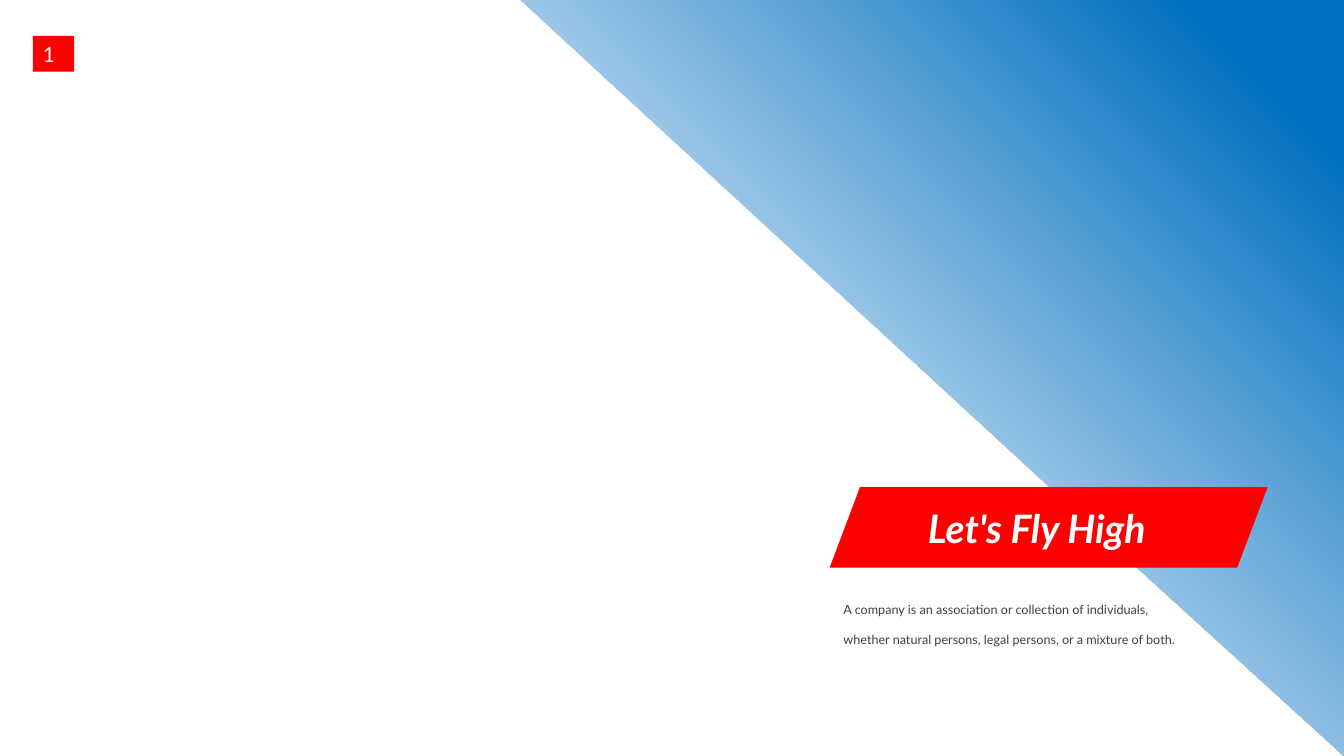
from pptx import Presentation
from pptx.dml.color import RGBColor
from pptx.enum.shapes import MSO_SHAPE as Shape
from pptx.enum.text import MSO_ANCHOR as Anchor, PP_ALIGN as Align
from pptx.util import Pt

WIDTH, HEIGHT = 960, 540


def color(hex_value):
    return RGBColor.from_string(hex_value)


class SlideBuilder:
    FONT = "Lato"
    RED, WHITE, GRAY = "FF0000", "FFFFFF", "404040"
    SKY, BLUE = "DEEBF7", "0070C0"

    def __init__(self, slide):
        self.shapes = slide.shapes

    def set_text(self, frame, text, size, ink, align=Align.LEFT, bold=False, italic=False):
        paragraph = frame.paragraphs[0]
        paragraph.text = text
        paragraph.alignment = align
        font = paragraph.font
        font.name, font.size = self.FONT, Pt(size)
        font.bold, font.italic = bold, italic
        font.color.rgb = color(ink)
        return paragraph

    def gradient_area(self, corners):
        """Draw a polygon that runs from sky at lower left to blue at upper right."""
        start, *rest = corners
        builder = self.shapes.build_freeform(*start, scale=Pt(1))
        builder.add_line_segments(rest, close=True)
        area = builder.convert_to_shape()
        area.shadow.inherit = False
        area.line.fill.background()
        area.fill.gradient()
        area.fill.gradient_angle = 45
        stops = ((0.3, self.SKY), (0.9, self.BLUE))
        for stop, (position, tint) in zip(area.fill.gradient_stops, stops):
            stop.position = position
            stop.color.rgb = color(tint)

    def label(self, kind, left, top, width, height, text, size, **style):
        """Draw a red shape with white text on one line."""
        shape = self.shapes.add_shape(kind, Pt(left), Pt(top), Pt(width), Pt(height))
        shape.shadow.inherit = False
        shape.fill.solid()
        shape.fill.fore_color.rgb = color(self.RED)
        shape.line.fill.background()
        shape.text_frame.word_wrap = False
        shape.text_frame.vertical_anchor = Anchor.MIDDLE
        self.set_text(shape.text_frame, text, size, self.WHITE, **style)
        return shape

    def body_text(self, left, top, width, height, text, size, spacing):
        box = self.shapes.add_textbox(Pt(left), Pt(top), Pt(width), Pt(height))
        box.text_frame.word_wrap = True
        self.set_text(box.text_frame, text, size, self.GRAY).line_spacing = spacing


def main():
    deck = Presentation()
    deck.slide_width, deck.slide_height = Pt(WIDTH), Pt(HEIGHT)
    page = SlideBuilder(deck.slides.add_slide(deck.slide_layouts[6]))

    page.gradient_area([(372, 0), (WIDTH, 0), (WIDTH, HEIGHT), (814.5, 407)])
    page.label(Shape.RECTANGLE, 23.5, 25.7, 29.5, 25.5, "1", 15)

    banner = page.label(Shape.PARALLELOGRAM, 592.6, 348, 312.8, 57.5, "Let's Fly High", 28,
                        align=Align.CENTER, bold=True, italic=True)
    banner.adjustments[0] = 0.377
    banner.text_frame.margin_left = 0
    banner.text_frame.margin_right = Pt(17)

    page.body_text(595.4, 415.4, 253.4, 72.7,
                   "A company is an association or collection of individuals, "
                   "whether natural persons, legal persons, or a mixture of both.",
                   size=9, spacing=2.0)
    deck.save("out.pptx")


if __name__ == "__main__":
    main()
